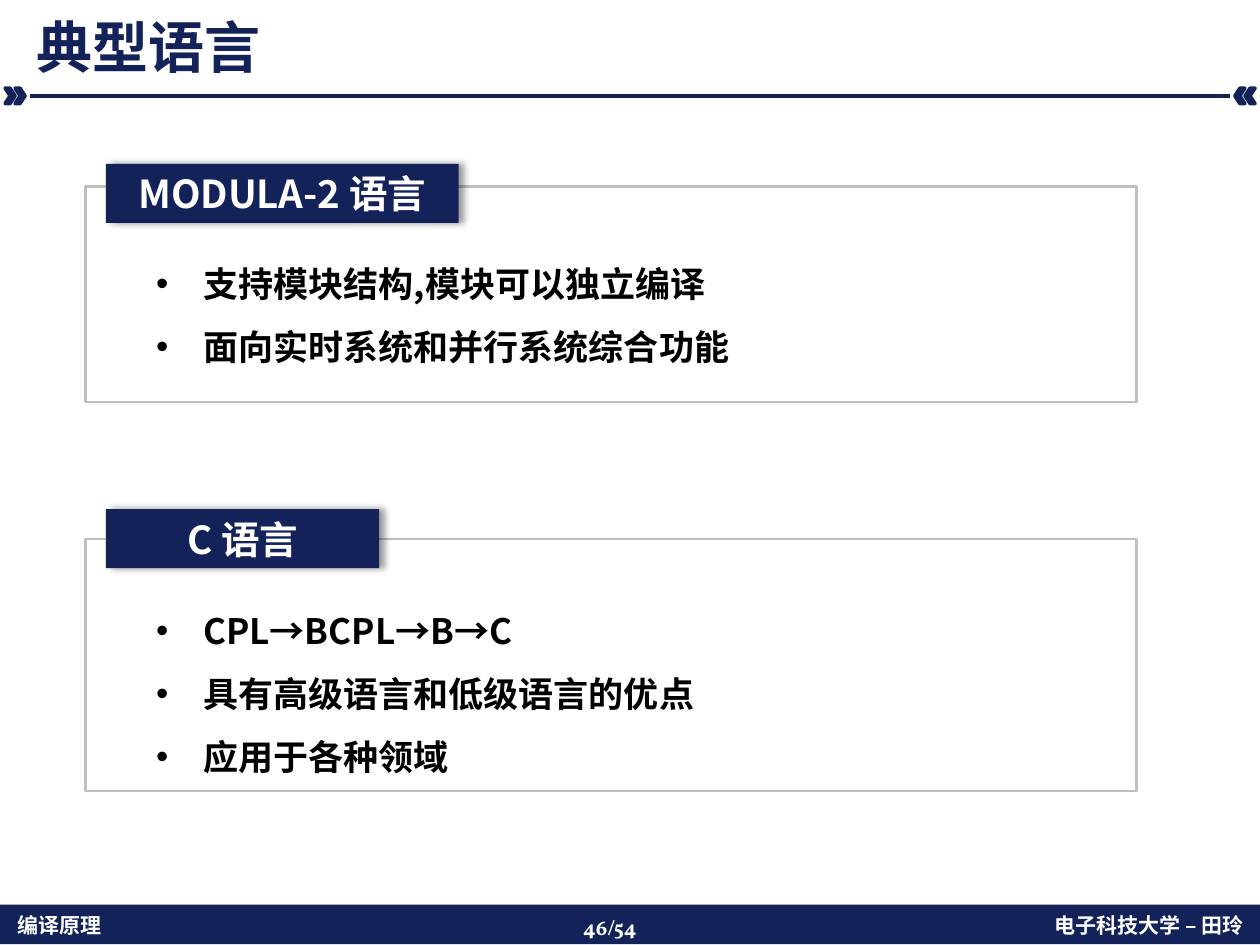
from lxml import etree
from pptx import Presentation
from pptx import util as u
from pptx.dml.color import RGBColor
from pptx.enum import shapes, text
from pptx.oxml import ns

Pt = u.Pt
NAVY, WHITE, GREY, BLACK = "132259", "FFFFFF", "BFBFBF", "000000"
SANS, SERIF = "Noto Sans CJK SC", "Vollkorn"
LEFT, CENTER, RIGHT = text.PP_ALIGN.LEFT, text.PP_ALIGN.CENTER, text.PP_ALIGN.RIGHT
TOP, MIDDLE, BOTTOM = text.MSO_ANCHOR.TOP, text.MSO_ANCHOR.MIDDLE, text.MSO_ANCHOR.BOTTOM


def color(value):
    return RGBColor.from_string(value)


def write(shape, lines, size=12, font=SANS, fill=WHITE, align=LEFT, anchor=TOP, spacing=1.0, bullet=None):
    frame = shape.text_frame
    frame.word_wrap = True
    frame.auto_size = text.MSO_AUTO_SIZE.NONE
    frame.vertical_anchor = anchor
    frame.text = "\n".join(lines)
    for paragraph in frame.paragraphs:
        paragraph.alignment = align
        paragraph.line_spacing = spacing
        if bullet:
            properties = paragraph._p.get_or_add_pPr()
            properties.set("marL", str(Pt(27)))
            properties.set("indent", str(-Pt(27)))
            etree.SubElement(properties, ns.qn("a:buFont")).set("typeface", "Arial")
            etree.SubElement(properties, ns.qn("a:buChar")).set("char", bullet)
        for run in paragraph.runs:
            run.font.size = Pt(size)
            run.font.name = font
            run.font.bold = True
            run.font.color.rgb = color(fill)
            etree.SubElement(run._r.get_or_add_rPr(), ns.qn("a:ea")).set("typeface", SANS)


presentation = Presentation()
presentation.slide_width, presentation.slide_height = Pt(720), Pt(540)
slide = presentation.slides.add_slide(presentation.slide_layouts[5])

footer = slide.shapes.add_shape(shapes.MSO_SHAPE.RECTANGLE, Pt(0), Pt(517), Pt(720), Pt(22.5))
footer.shadow.inherit = False
footer.fill.solid()
footer.fill.fore_color.rgb = color(NAVY)
footer.line.fill.background()

for left, top, width, wording, font, align in [
    (2.9, 517.7, 212, "编译原理", SANS, LEFT),
    (502.6, 517.7, 215.3, "电子科技大学 – 田玲", SANS, RIGHT),
    (326.2, 519.1, 67.7, "46/54", SERIF, LEFT),
]:
    box = slide.shapes.add_textbox(Pt(left), Pt(top), Pt(width), Pt(21.6))
    write(box, [wording], font=font, align=align)

for left, turned in [(2.9, False), (8.6, False), (711.4, True), (705.6, True)]:
    chevron = slide.shapes.add_shape(shapes.MSO_SHAPE.CHEVRON, Pt(left), Pt(50.4), Pt(5.76), Pt(8.8))
    chevron.rotation = 180 if turned else 0
    chevron.shadow.inherit = False
    chevron.fill.solid()
    chevron.fill.fore_color.rgb = color(NAVY)
    chevron.line.color.rgb = color(NAVY)
    chevron.line.width = Pt(2)

rule = slide.shapes.add_connector(shapes.MSO_CONNECTOR.STRAIGHT, Pt(17.3), Pt(54.8), Pt(702.7), Pt(54.8))
rule.line.color.rgb = color(NAVY)
rule.line.width = Pt(2)
etree.SubElement(rule._element.spPr, ns.qn("a:effectLst"))

title = slide.shapes.title
title.left, title.top, title.width, title.height = Pt(13.7), Pt(3.6), Pt(692), Pt(46)
write(title, ["典型语言"], size=32, font=SERIF, fill=NAVY, anchor=BOTTOM, spacing=0.9)

sections = [
    ("MODULA-2 语言", 93.6, 201.6, 106.6, 123.1, 134.6,
     ["支持模块结构,模块可以独立编译", "面向实时系统和并行系统综合功能"]),
    ("C 语言", 290.9, 156.2, 308, 144, 332.6,
     ["CPL→BCPL→B→C", "具有高级语言和低级语言的优点", "应用于各种领域"]),
]
for heading, label_top, label_width, frame_top, frame_height, list_top, points in sections:
    border = slide.shapes.add_shape(shapes.MSO_SHAPE.RECTANGLE, Pt(49), Pt(frame_top), Pt(600.5), Pt(frame_height))
    border.shadow.inherit = False
    border.fill.background()
    border.line.color.rgb = color(GREY)
    border.line.width = Pt(1.5)

    label = slide.shapes.add_shape(shapes.MSO_SHAPE.RECTANGLE, Pt(60.5), Pt(label_top), Pt(label_width), Pt(33.8))
    label.fill.solid()
    label.fill.fore_color.rgb = color(NAVY)
    label.line.fill.background()
    label.shadow.inherit = False
    effects = label._element.spPr.find(ns.qn("a:effectLst"))
    shadow = etree.SubElement(effects, ns.qn("a:outerShdw"), blurRad=str(Pt(4)), dist=str(Pt(3)), dir="0")
    shade = etree.SubElement(shadow, ns.qn("a:srgbClr"), val=BLACK)
    etree.SubElement(shade, ns.qn("a:alpha"), val="40000")
    write(label, [heading], size=22, align=CENTER, anchor=MIDDLE)

    box = slide.shapes.add_textbox(Pt(82.1), Pt(list_top), Pt(360), Pt(37 * len(points)))
    write(box, points, size=20, fill=BLACK, spacing=1.5, bullet="•")

presentation.save("out.pptx")
